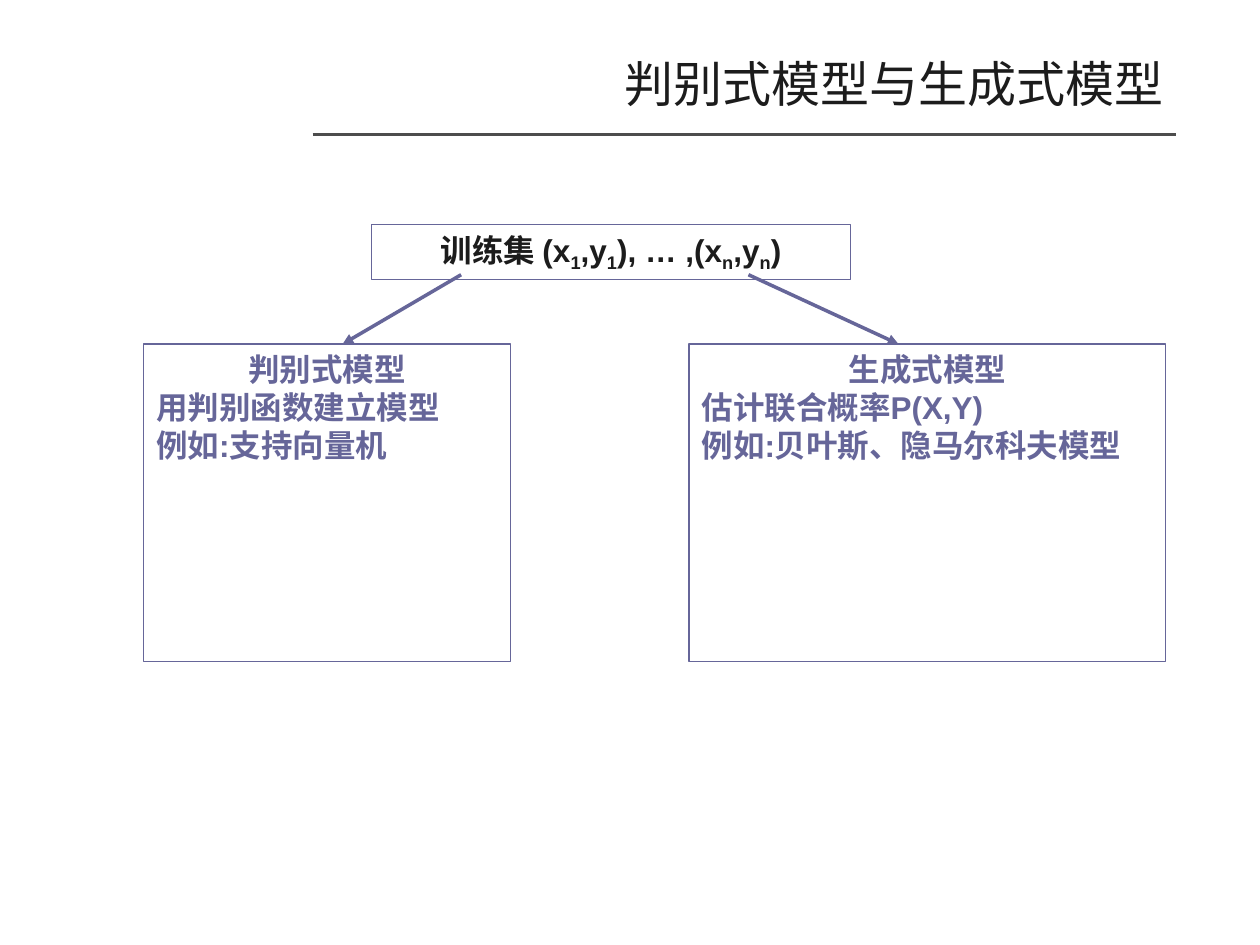
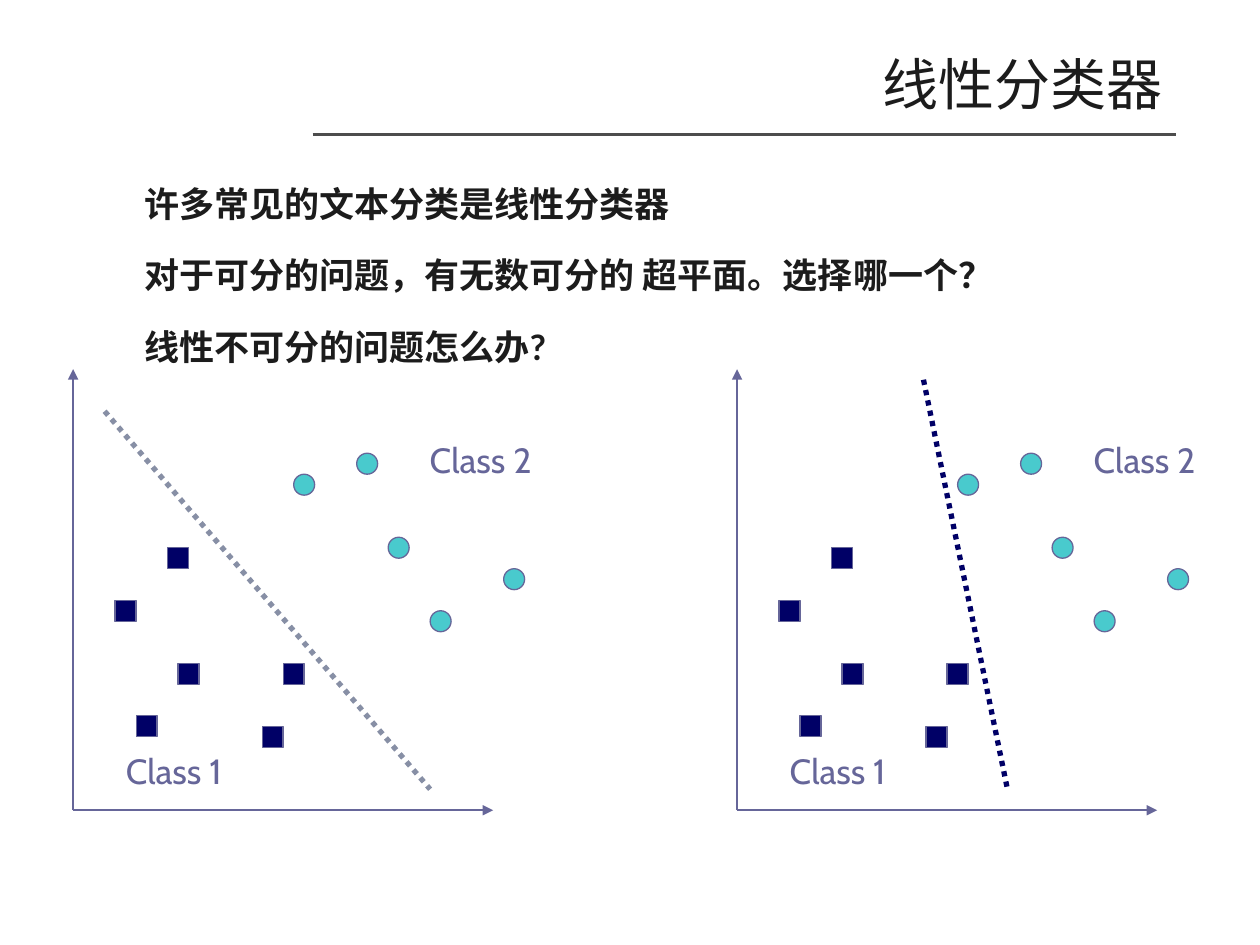
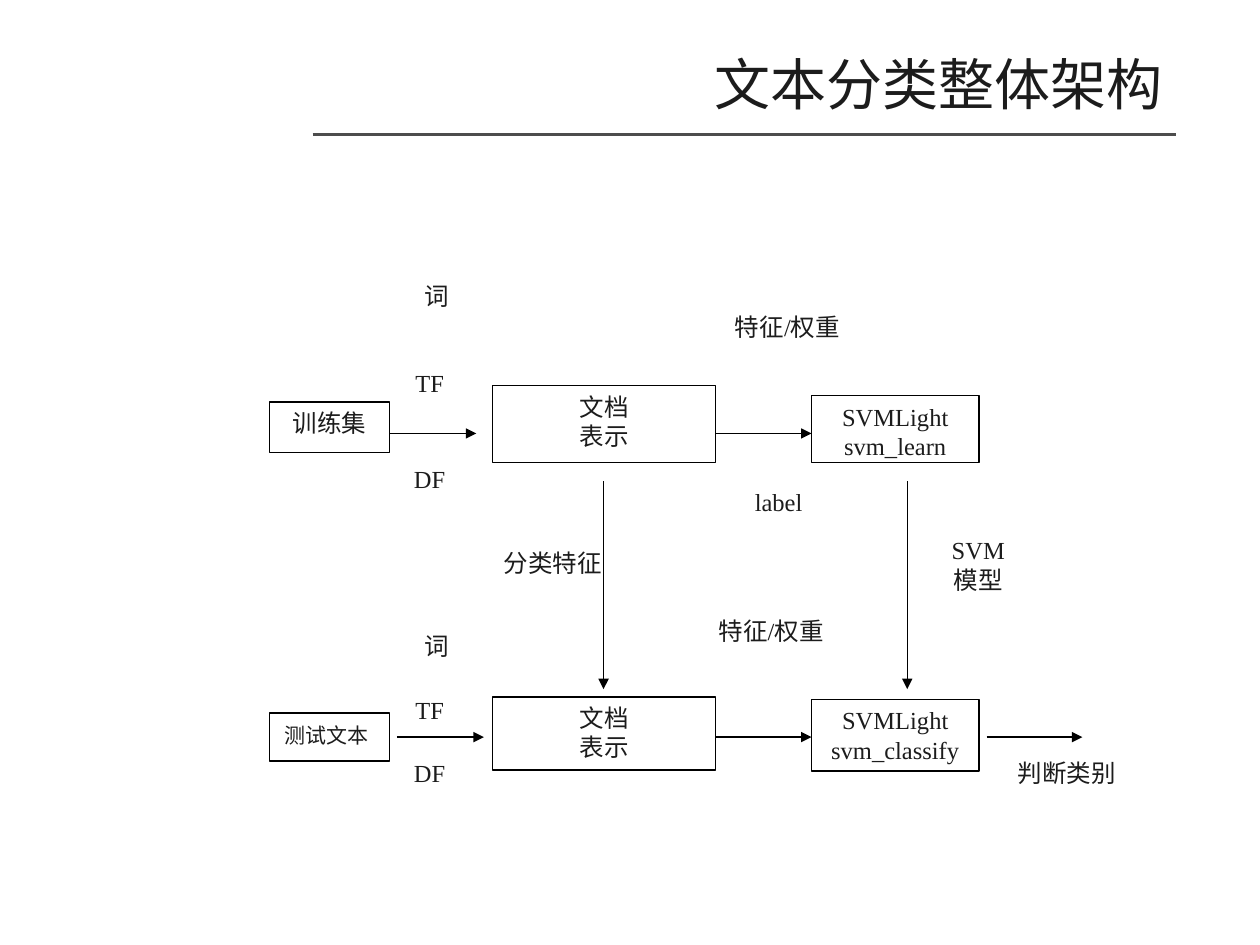
from lxml import etree
from pptx import Presentation
from pptx.dml.color import RGBColor
from pptx.enum import dml, shapes, text
from pptx.oxml.ns import qn
from pptx.util import Pt

INK, VIOLET, NAVY, TEAL = "1C1C1C", "666699", "000066", "49CACD"
WHITE, BLACK, GRAY, SLATE = "FFFFFF", "000000", "4D4D4D", "878FA5"
LEFT, CENTER, RIGHT = (text.PP_ALIGN.LEFT, text.PP_ALIGN.CENTER,
                       text.PP_ALIGN.RIGHT)
TOP, MIDDLE = text.MSO_ANCHOR.TOP, text.MSO_ANCHOR.MIDDLE
RECT, OVAL = shapes.MSO_SHAPE.RECTANGLE, shapes.MSO_SHAPE.OVAL

HEAD = {"name": "Lato", "size": 32, "color": INK}
BODY = {"name": "Lato", "size": 20, "color": INK, "bold": True}
MODEL = {"name": "Arial", "size": 18, "color": VIOLET, "bold": True}
CLASS = {"name": "Cabin", "size": 20, "color": VIOLET}
FLOW = {"name": "Times New Roman", "size": 14, "color": INK}


def color(code):
    return RGBColor.from_string(code)


def style(font, look):
    for key, value in look.items():
        if key == "color":
            font.color.rgb = color(value)
        else:
            setattr(font, key, Pt(value) if key == "size" else value)


def write(shape, lines, look, aligns=(CENTER,), anchor=TOP, wrap=True, gaps=None):
    """Fill a shape; a line is a string or a list of (string, changes) runs.

    The last of aligns serves all lines that follow it.
    """
    frame = shape.text_frame
    frame.word_wrap, frame.vertical_anchor = wrap, anchor
    for i, line in enumerate(lines):
        para = frame.paragraphs[0] if i == 0 else frame.add_paragraph()
        para.alignment = aligns[min(i, len(aligns) - 1)]
        for key, value in (gaps or {}).items():
            if i or key != "space_before":
                setattr(para, key, value)
        for words, change in [(line, {})] if isinstance(line, str) else line:
            run = para.add_run()
            run.text = words
            change = dict(change)
            base = change.pop("base", None)
            style(run.font, {**look, **change})
            if base:
                run.font._element.set("baseline", str(base * 1000))


def form(slide, box, fill=None, line=None, width=0.75, kind=RECT):
    shape = slide.shapes.add_shape(kind, *map(Pt, box))
    shape.shadow.inherit = False
    if fill:
        shape.fill.solid()
        shape.fill.fore_color.rgb = color(fill)
    else:
        shape.fill.background()
    if line:
        shape.line.color.rgb = color(line)
        shape.line.width = Pt(width)
    else:
        shape.line.fill.background()
    return shape


def note(slide, box):
    return slide.shapes.add_textbox(*map(Pt, box))


def stroke(slide, start, end, hue, width=0.75, arrow=True, dotted=False):
    line = slide.shapes.add_connector(
        shapes.MSO_CONNECTOR.STRAIGHT, *map(Pt, (*start, *end)))
    line.line.color.rgb = color(hue)
    line.line.width = Pt(width)
    if dotted:
        line.line.dash_style = dml.MSO_LINE.ROUND_DOT
    if arrow:
        etree.SubElement(line.line._get_or_add_ln(), qn("a:tailEnd"),
                         type="triangle")
    etree.SubElement(line._element.spPr, qn("a:effectLst"))


def start(deck, title, size=32):
    """Add a slide with the panel, rule and title that all slides share."""
    slide = deck.slides.add_slide(deck.slide_layouts[6])
    form(slide, (36.7, 94.3, 646.6, 414), WHITE)
    stroke(slide, (178.6, 77), (671.8, 77), GRAY, 0, arrow=False)
    write(note(slide, (49.7, 25.2, 622, 44.6)), [title],
          {**HEAD, "size": size}, (RIGHT,), MIDDLE)
    return slide


def models(deck):
    slide = start(deck, "判别式模型与生成式模型", 28)
    low = {"base": -25}
    pairs = [("训练集 (x", {}), ("1", low), (",y", {}), ("1", low),
             ("), … ,(x", {}), ("n", low), (",y", {}), ("n", low), (")", {})]
    write(form(slide, (212.4, 128.2, 273.6, 31.7), None, VIOLET, 0),
          [pairs], {**MODEL, "color": INK})
    top = 196.6
    for tail, head, left, width, lines in (
            (263.5, 195.8, 82.1, 209.5,
             ("判别式模型", "用判别函数建立模型", "例如:支持向量机")),
            (427.7, 513.4, 393.8, 272.2,
             ("生成式模型", "估计联合概率P(X,Y)", "例如:贝叶斯、隐马尔科夫模型"))):
        stroke(slide, (tail, 157), (head, top), VIOLET, 0)
        write(form(slide, (left, top, width, 181.4), None, VIOLET, 0),
              lines, MODEL, (CENTER, LEFT))


def plot(slide, left, top, cut, hue):
    """Draw both classes and a dividing line on a grid of 6 points."""
    def at(col, row):
        return left + 6 * col, top + 6 * row

    zero = at(0, 42)
    for end in (at(0, 0), at(40, 42)):
        stroke(slide, zero, end, VIOLET, 1)
    dots = (27, 8), (30, 16), (41, 19), (21, 10), (34, 23)
    tiles = (4, 22), (20, 28), (18, 34), (10, 28), (6, 33), (9, 17)
    for kind, fill, spots in ((OVAL, TEAL, dots), (RECT, NAVY, tiles)):
        for spot in spots:
            form(slide, (*at(*spot), 12, 12), fill, VIOLET, kind=kind)
    for label, x, y in (("Class 1", 23, 213.8), ("Class 2", 196.7, 36)):
        write(note(slide, (left + x, top + y, 79.2, 31.7)), [label],
              CLASS, (LEFT,), wrap=False)
    stroke(slide, at(*cut[0]), at(*cut[1]), hue, 3, arrow=False, dotted=True)


def linear(deck):
    slide = start(deck, "线性分类器")
    body = note(slide, (48.2 + 27, 88.6, 657.4 - 27, 324))
    write(body, ["许多常见的文本分类是线性分类器",
                 "对于可分的问题，有无数可分的 超平面。选择哪一个？",
                 "线性不可分的问题怎么办?"], BODY, (LEFT,),
          gaps={"line_spacing": 1.5, "space_before": Pt(5)})
    plot(slide, 41.8, 211, ((3, 4), (34, 40)), SLATE)
    plot(slide, 421.2, 211, ((17.75, 1), (25.75, 40)), NAVY)


def label(slide, box, *lines):
    write(form(slide, box, WHITE), lines, FLOW)


def chain(slide, axis, source, tool, spans, weight, arrow):
    """Lay one row of steps around its axis; spans give (offset, height)."""
    steps = ((154.1, 68.4, [source], BLACK), (281.5, 127.4, ["文档", "表示"], BLACK),
             (463.7, 95.8, ["SVMLight", tool], BLACK), (226.8, 41, ["TF "], None),
             (226.8, 41, ["DF "], None), (217.4, 64.1, ["词"], None))
    for (left, width, lines, edge), (dy, high) in zip(steps, spans):
        write(form(slide, (left, axis + dy, width, high), WHITE, edge),
              lines, FLOW)
    label(slide, (weight, axis - 72.7, 118, 27.4), "特征/权重")
    for x, far in ((arrow, arrow + 49.7), (408.9, 463.7)):
        stroke(slide, (x, axis), (far, axis), BLACK)


def system(deck):
    slide = start(deck, "文本分类整体架构")
    train, test = 247.7, 421.2
    chain(slide, train, "训练集", "svm_learn",
          ((-18, 28.8), (-27.4, 43.9), (-21.6, 38.2), (-41.1, 27.4),
           (13.7, 27.4), (-90.7, 27.4)), 391, 222.5)
    chain(slide, test, [("测试文本", {"size": 12}), (" ", {})], "svm_classify",
          ((-13.7, 27.4), (-23, 41.8), (-21.6, 41), (-27.4, 31.7),
           (8.6, 27.4), (-64.1, 27.4)), 381.6, 226.8)
    label(slide, (417.6, 275, 54.7, 27.4), "label")
    label(slide, (275, 309.6, 82.1, 27.4), "分类特征")
    label(slide, (527, 302.4, 64.1, 54.7), "SVM", "模型")
    label(slide, (563.8, 429.8, 91.4, 27.4), "判断类别")
    stroke(slide, (563.8, test), (618.5, test), BLACK)
    for x in (344.9, 518.4):
        stroke(slide, (x, 275), (x, 393.8), BLACK)


def main():
    deck = Presentation()
    deck.slide_width, deck.slide_height = Pt(720), Pt(540)
    for build in (models, linear, system):
        build(deck)
    deck.save("out.pptx")


if __name__ == "__main__":
    main()
